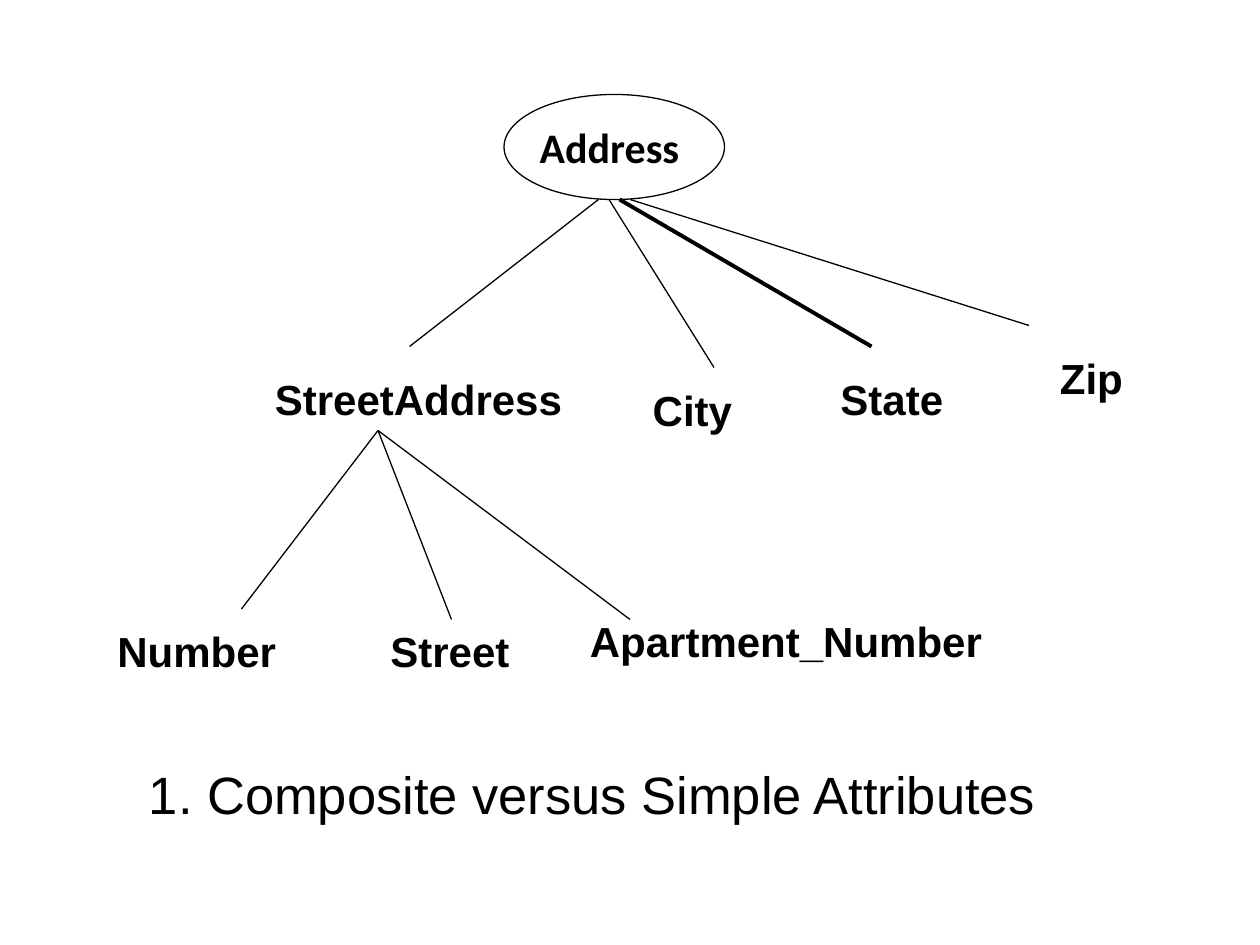
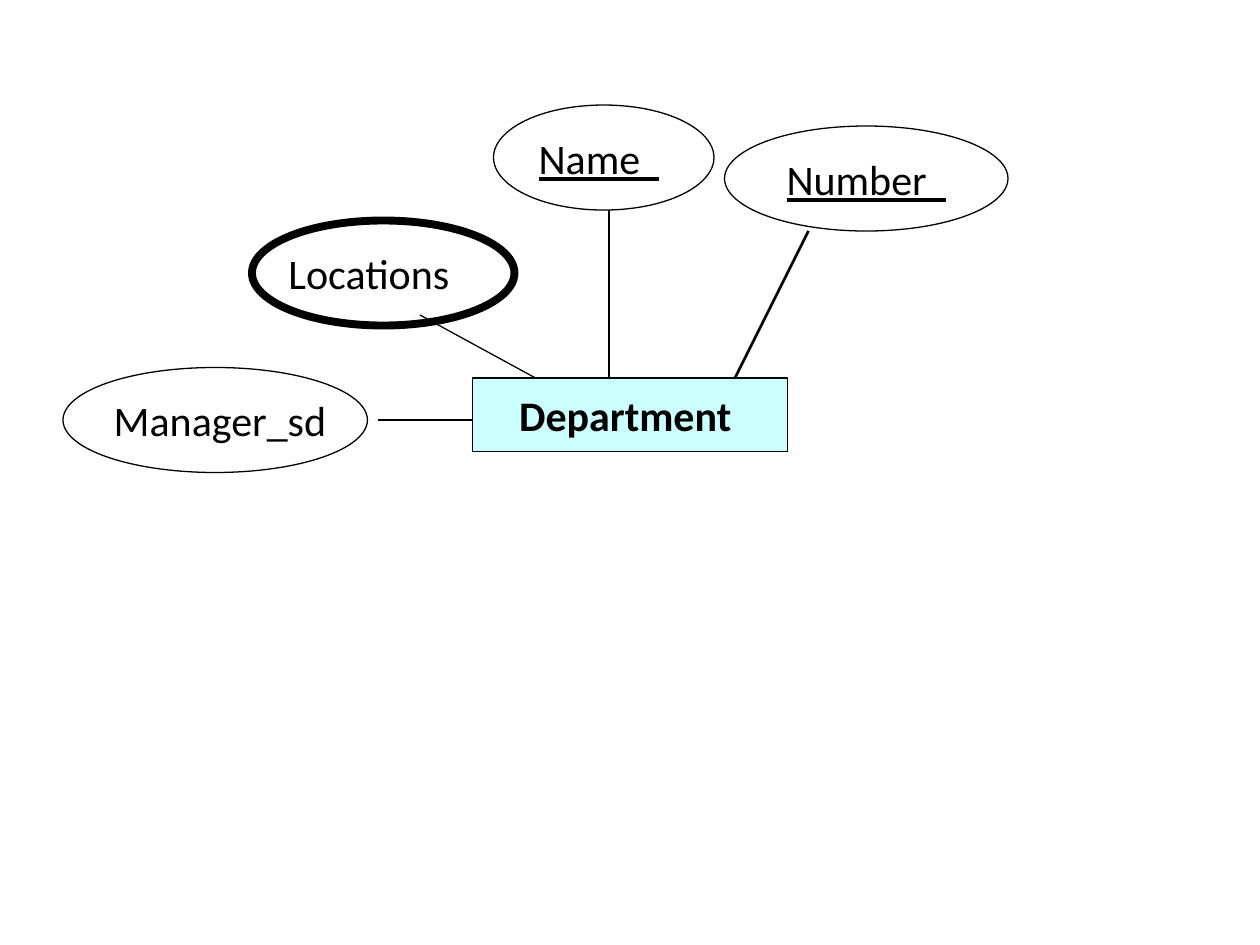
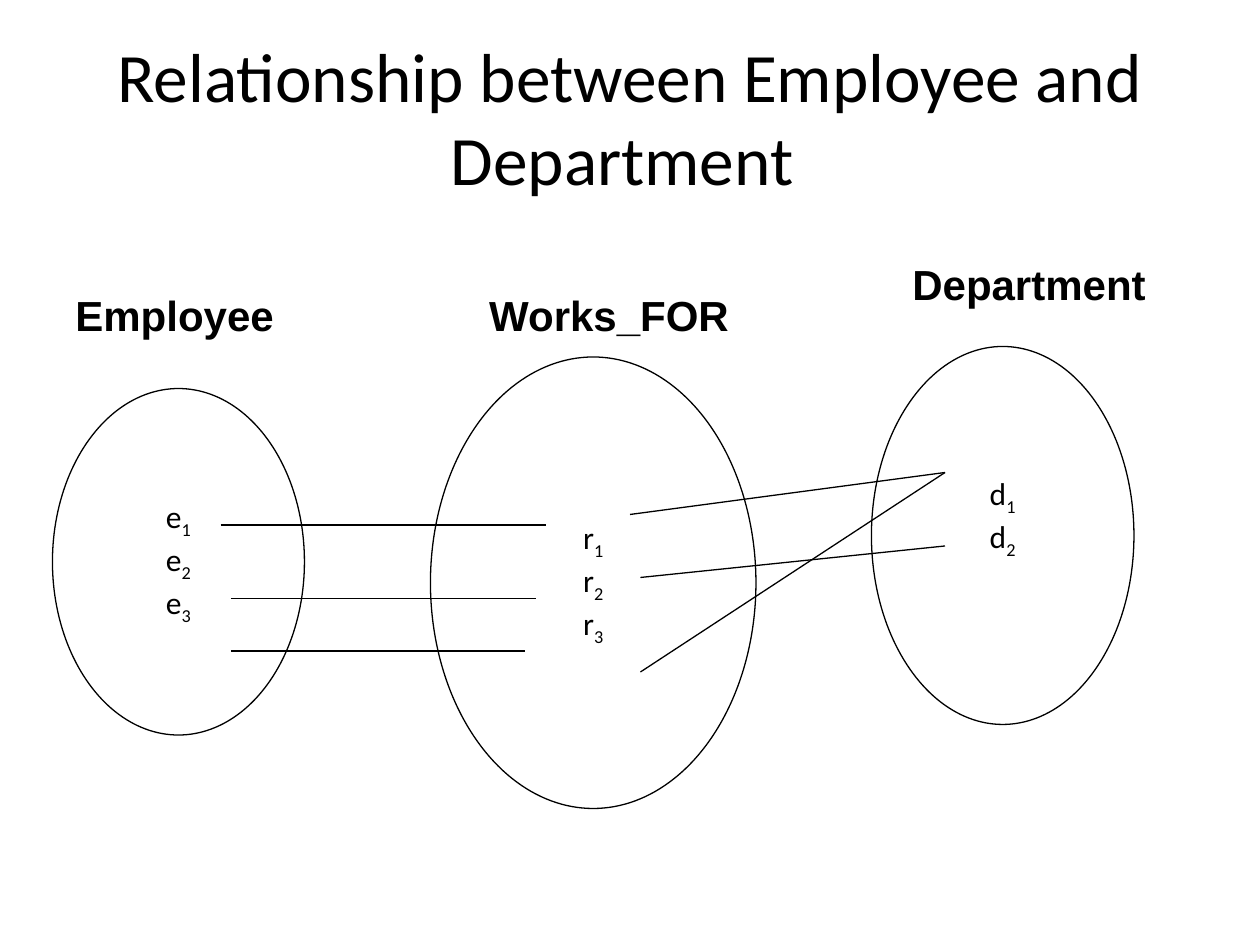
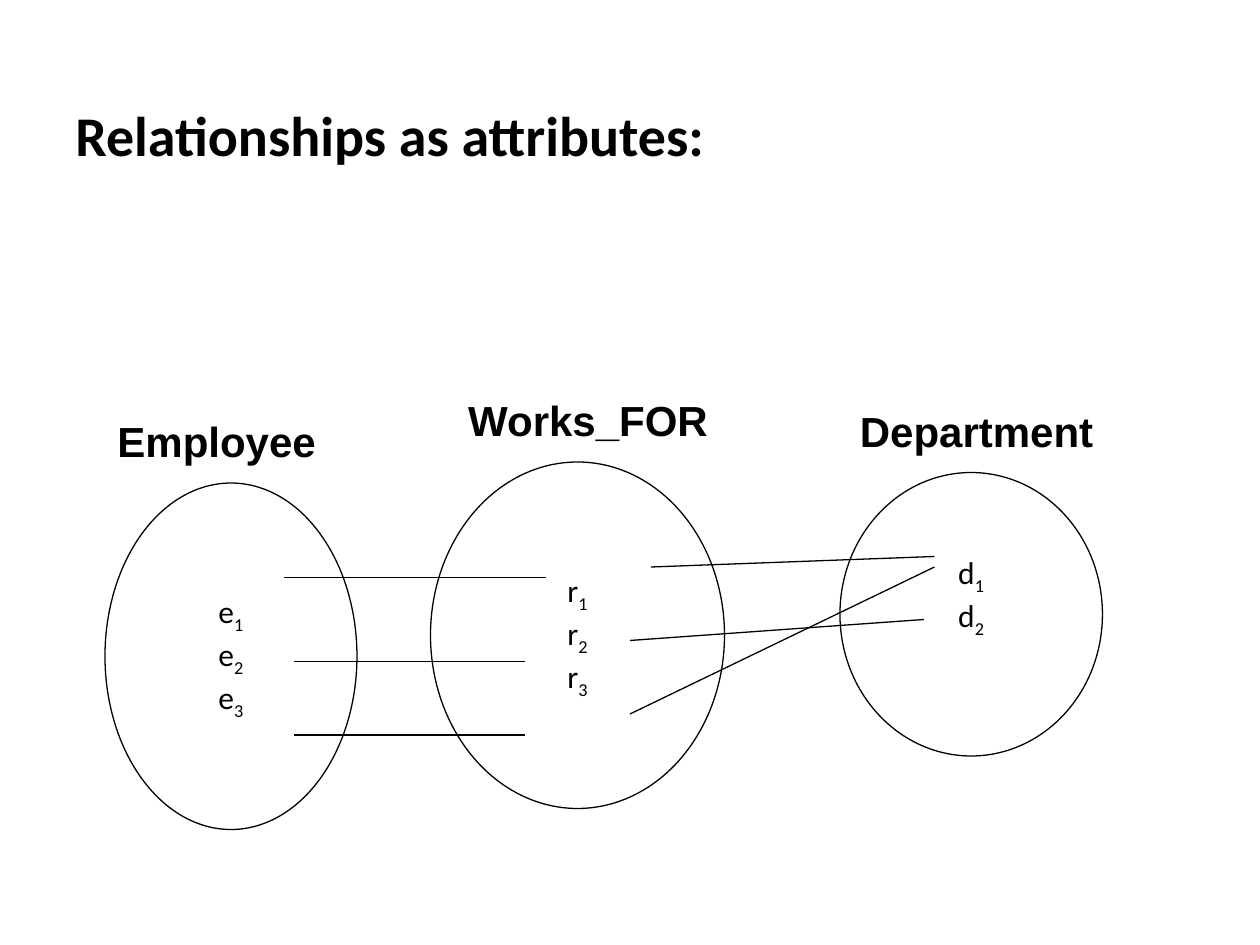
from pptx import Presentation
from pptx.dml.color import RGBColor
from pptx.enum.shapes import MSO_CONNECTOR, MSO_SHAPE
from pptx.enum.text import MSO_ANCHOR, MSO_AUTO_SIZE, PP_ALIGN
from pptx.oxml.ns import qn
from pptx.util import Pt
from lxml.etree import SubElement

PX = 7620
BLACK = RGBColor(0x00, 0x00, 0x00)
PALE_CYAN = RGBColor(0xCC, 0xFF, 0xFF)
HEADING_FONT = "Calibri"
LABEL_FONT = "Arial"
LABEL_HEIGHT = 60
INSET = 12
BOTTOM_INSET = 6
EMPTY_LINE = 35
SPACE = 9


def px(*lengths):
    return [length * PX for length in lengths]


def style_font(font, name, size, bold=False, underline=False):
    font.name = name
    font.size = Pt(size)
    font.bold = bold
    font.underline = underline
    font.color.rgb = BLACK


def add_slide(presentation):
    return presentation.slides.add_slide(presentation.slide_layouts[6])


def add_text(slide, text, box, size, font=HEADING_FONT, bold=False,
             align=PP_ALIGN.LEFT, anchor=MSO_ANCHOR.TOP):
    shape = slide.shapes.add_textbox(*px(*box))
    frame = shape.text_frame
    frame.text = text
    frame.word_wrap = True
    frame.vertical_anchor = anchor
    paragraph = frame.paragraphs[0]
    paragraph.alignment = align
    style_font(paragraph.runs[0].font, font, size, bold)
    return shape


def add_label(slide, text, left, top, width, align=PP_ALIGN.CENTER,
              size=24, bold=True, height=LABEL_HEIGHT):
    shape = add_text(slide, text, (left, top, width, height), size,
                     LABEL_FONT, bold, align)
    shape.text_frame.auto_size = MSO_AUTO_SIZE.SHAPE_TO_FIT_TEXT


def add_outline(slide, box, kind=MSO_SHAPE.OVAL, weight=0.75, fill=None):
    shape = slide.shapes.add_shape(kind, *px(*box))
    shape.shadow.inherit = False
    if fill is None:
        shape.fill.background()
    else:
        shape.fill.solid()
        shape.fill.fore_color.rgb = fill
    shape.line.color.rgb = BLACK
    shape.line.width = Pt(weight)
    shape.text_frame.word_wrap = False
    shape.text_frame.vertical_anchor = MSO_ANCHOR.MIDDLE
    return shape


def add_node(slide, text, box, bold=False, underline=False,
             extra_left=0, extra_right=0, **outline):
    frame = add_outline(slide, box, **outline).text_frame
    frame.margin_left, frame.margin_right = px(INSET + extra_left,
                                               INSET + extra_right)
    frame.text = text
    paragraph = frame.paragraphs[0]
    paragraph.alignment = PP_ALIGN.CENTER
    style_font(paragraph.runs[0].font, HEADING_FONT, 24, bold, underline)


def add_line(slide, start, end, weight=0.75):
    line = slide.shapes.add_connector(MSO_CONNECTOR.STRAIGHT,
                                      *px(*start, *end))
    line.line.color.rgb = BLACK
    line.line.width = Pt(weight)
    SubElement(line._element.spPr, qn("a:effectLst"))


def add_entity_set(slide, letter, count, box, extra_bottom=0):
    frame = add_outline(slide, box).text_frame
    frame.margin_bottom = (BOTTOM_INSET + extra_bottom) * PX
    for number in range(1, count + 1):
        paragraph = frame.paragraphs[0] if number == 1 else frame.add_paragraph()
        paragraph.alignment = PP_ALIGN.CENTER
        for text in (letter, str(number)):
            run = paragraph.add_run()
            run.text = text
            style_font(run.font, HEADING_FONT, 18)
        run._r.get_or_add_rPr().set("baseline", "-25000")


def add_mapping(slide, employee, relation, department, labels, links):
    add_entity_set(slide, "e", 3, employee)
    add_entity_set(slide, "r", 3, relation)
    add_entity_set(slide, "d", 2, department, EMPTY_LINE)
    names = (("Employee", 260, PP_ALIGN.LEFT),
             ("Works_FOR", 320, PP_ALIGN.CENTER),
             ("Department", 280, PP_ALIGN.CENTER))
    for (name, width, align), (left, top) in zip(names, labels):
        add_label(slide, name, left, top, width, align)
    for start, end in links:
        add_line(slide, start, end)


def build_composite_attributes(presentation):
    slide = add_slide(presentation)
    add_node(slide, "Address ", (480, 90, 210, 100), bold=True)
    for start, end, weight in (((570, 190), (390, 330), 0.75),
                               ((580, 190), (680, 350), 0.75),
                               ((590, 190), (830, 330), 2.25),
                               ((600, 190), (980, 310), 0.75)):
        add_line(slide, start, end, weight)
    for end in ((230, 580), (430, 590), (600, 590)):
        add_line(slide, (360, 410), end)
    for text, left, top, width in (("StreetAddress", 250, 350, 340),
                                   ("Number", 100, 590, 300),
                                   ("Street", 360, 590, 140),
                                   ("Apartment_Number", 550, 580, 420)):
        add_label(slide, text, left, top, width, PP_ALIGN.LEFT)
    for text, left, top, width in (("City ", 550, 360, 230),
                                   ("State ", 770, 350, 170),
                                   ("Zip ", 960, 330, 170)):
        add_label(slide, text, left, top, width)
    add_label(slide, "1. Composite versus Simple Attributes", 130, 720, 940,
              PP_ALIGN.LEFT, size=30, bold=False, height=72)


def build_department_entity(presentation):
    slide = add_slide(presentation)
    add_node(slide, "Department ", (450, 360, 300, 70), bold=True,
             kind=MSO_SHAPE.RECTANGLE, fill=PALE_CYAN)
    add_node(slide, "Number  ", (690, 120, 270, 100), underline=True)
    add_node(slide, "Name  ", (470, 100, 210, 100), underline=True,
             extra_right=SPACE)
    add_node(slide, "Locations", (240, 210, 250, 100),
             extra_right=3 * SPACE, weight=4.5)
    add_node(slide, "Manager_sd", (60, 350, 290, 100), extra_left=SPACE)
    for start, end, weight in (((700, 360), (770, 220), 1.5),
                               ((580, 200), (580, 360), 1),
                               ((400, 300), (510, 360), 0.75),
                               ((360, 400), (450, 400), 0.75)):
        add_line(slide, start, end, weight)


def build_relationship(presentation):
    slide = add_slide(presentation)
    add_text(slide, "Relationship between Employee and Department ",
             (60, 36, 1080, 150), 39.6, align=PP_ALIGN.CENTER,
             anchor=MSO_ANCHOR.MIDDLE)
    add_mapping(slide, (50, 370, 240, 330), (410, 340, 310, 430),
                (830, 330, 250, 360),
                ((60, 270), (420, 270), (840, 240)),
                (((210, 500), (520, 500)), ((220, 570), (510, 570)),
                 ((220, 620), (500, 620)), ((600, 490), (900, 450)),
                 ((900, 520), (610, 550)), ((900, 450), (610, 640))))


def build_relationship_attributes(presentation):
    slide = add_slide(presentation)
    add_text(slide, "Relationships as attributes:", (60, 90, 1080, 714), 32,
             bold=True)
    add_mapping(slide, (100, 460, 240, 330), (410, 440, 280, 330),
                (800, 450, 250, 270),
                ((100, 390), (400, 370), (790, 380)),
                (((270, 550), (520, 550)), ((280, 630), (500, 630)),
                 ((280, 700), (500, 700)), ((890, 530), (620, 540)),
                 ((890, 540), (600, 680)), ((880, 590), (600, 610))))


def main():
    presentation = Presentation()
    presentation.slide_width, presentation.slide_height = px(1200, 900)
    build_composite_attributes(presentation)
    build_department_entity(presentation)
    build_relationship(presentation)
    build_relationship_attributes(presentation)
    presentation.save("out.pptx")


if __name__ == "__main__":
    main()
